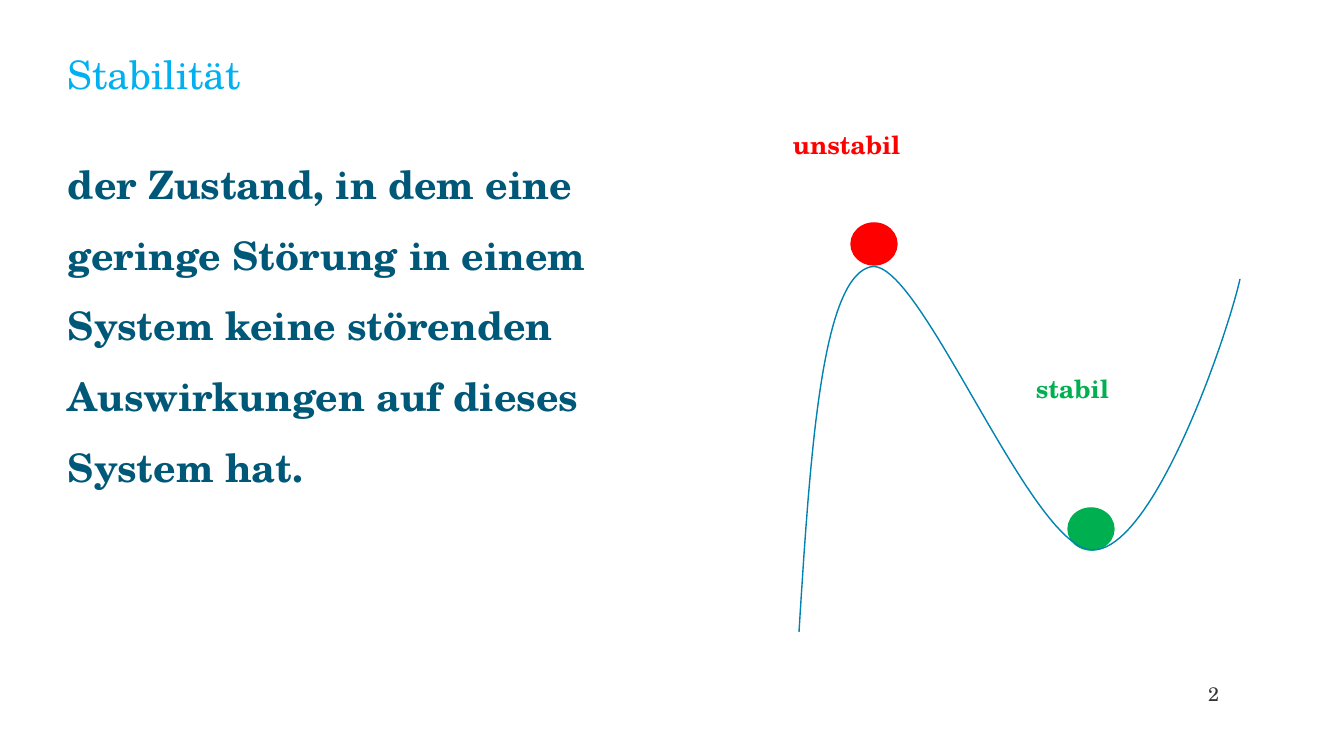
from pptx import Presentation
from pptx.dml.color import RGBColor
from pptx.enum.shapes import MSO_SHAPE as Shape
from pptx.enum.text import MSO_ANCHOR as Anchor, MSO_AUTO_SIZE as AutoSize, PP_ALIGN as Align
from pptx.util import Emu, Pt

COLORS = {
    "title": "00B0F0",
    "body": "005878",
    "curve": "0082B2",
    "unstable": "FF0000",
    "stable": "00B050",
    "number": "333333",
}
FONT = "TeX Gyre Schola"
PX = 914400 / 100.8
BALL_SIZE = (46, 42)
CURVE_STEPS = 40
CURVE_START = (799, 632)
CURVE_BEZIERS = [
    [(810, 457), (821, 280), (870, 267)],
    [(918, 253), (1030, 548), (1092, 550)],
    [(1153, 552), (1227, 337), (1240, 279)],
]


def px(value):
    return Emu(round(value * PX))


def color(name):
    return RGBColor.from_string(COLORS[name])


def assign(target, values):
    for name, value in values.items():
        setattr(target, name, value)


def bezier(start, first, second, end, t):
    weights = ((1 - t) ** 3, 3 * t * (1 - t) ** 2, 3 * t**2 * (1 - t), t**3)
    corners = (start, first, second, end)
    return tuple(
        px(sum(weight * corner[axis] for weight, corner in zip(weights, corners)))
        for axis in (0, 1)
    )


class SlideBuilder:
    def __init__(self, deck):
        self.page = deck.slides.add_slide(deck.slide_layouts[5])
        self.shapes = self.page.shapes

    def place(self, box, left, top, width, height):
        assign(box, {"left": px(left), "top": px(top), "width": px(width), "height": px(height)})

    def fill_text(self, box, text, size, tone, bold=False, frame=None, para=None):
        text_frame = box.text_frame
        assign(text_frame, {"word_wrap": True, "auto_size": AutoSize.NONE, **(frame or {})})
        first = text_frame.paragraphs[0]
        assign(first, {"alignment": Align.LEFT, **(para or {})})
        span = first.add_run()
        span.text = text
        assign(span.font, {"name": FONT, "size": Pt(size), "bold": bold})
        span.font.color.rgb = color(tone)

    def title(self, text, area, **style):
        box = self.shapes.title
        self.place(box, *area)
        self.fill_text(box, text, **style)

    def text(self, text, area, **style):
        box = self.shapes.add_textbox(*map(px, area))
        self.fill_text(box, text, **style)

    def outline(self, shape, tone):
        shape.shadow.inherit = False
        shape.line.color.rgb = color(tone)
        shape.line.width = Pt(1)

    def ball(self, left, top, tone):
        shape = self.shapes.add_shape(Shape.OVAL, *map(px, (left, top, *BALL_SIZE)))
        shape.fill.solid()
        shape.fill.fore_color.rgb = color(tone)
        self.outline(shape, tone)

    def curve(self, start, segments, tone):
        builder = self.shapes.build_freeform(px(start[0]), px(start[1]))
        for segment in segments:
            points = [
                bezier(start, *segment, step / CURVE_STEPS)
                for step in range(1, CURVE_STEPS + 1)
            ]
            builder.add_line_segments(points, close=False)
            start = segment[-1]
        shape = builder.convert_to_shape()
        shape.fill.background()
        self.outline(shape, tone)


def main():
    deck = Presentation()
    assign(deck, {"slide_width": px(1344), "slide_height": px(756)})
    slide = SlideBuilder(deck)

    slide.title(
        "Stabilität", (68, 54, 1207, 86), size=28, tone="title",
        frame={
            "margin_left": 0, "margin_top": px(5), "margin_bottom": px(52),
            "vertical_anchor": Anchor.MIDDLE,
        },
    )
    slide.text(
        "der Zustand, in dem eine geringe Störung in einem System keine störenden "
        "Auswirkungen auf dieses System hat.",
        (68, 132, 611, 523), size=28, tone="body", bold=True,
        frame={"margin_left": 0},
        para={"line_spacing": 1.5, "space_before": Pt(5.6)},
    )
    slide.ball(1068, 508, "stable")
    slide.curve(CURVE_START, CURVE_BEZIERS, "curve")
    slide.ball(851, 223, "unstable")
    slide.text("stabil", (1026, 368, 148, 53), size=18, tone="stable", bold=True)
    slide.text("unstabil", (783, 124, 182, 53), size=18, tone="unstable", bold=True)
    slide.text(
        "2", (1157, 677, 72, 34), size=14, tone="number", para={"alignment": Align.RIGHT}
    )
    deck.save("out.pptx")


if __name__ == "__main__":
    main()
